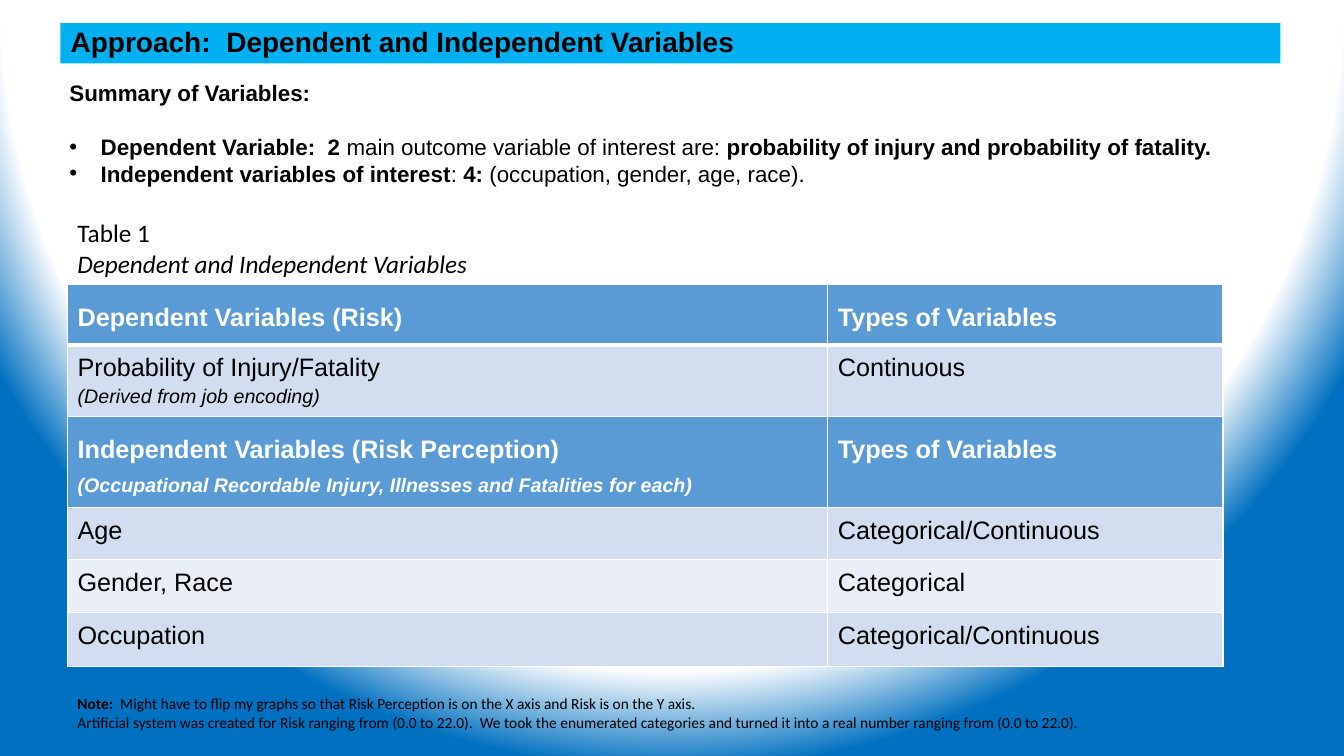
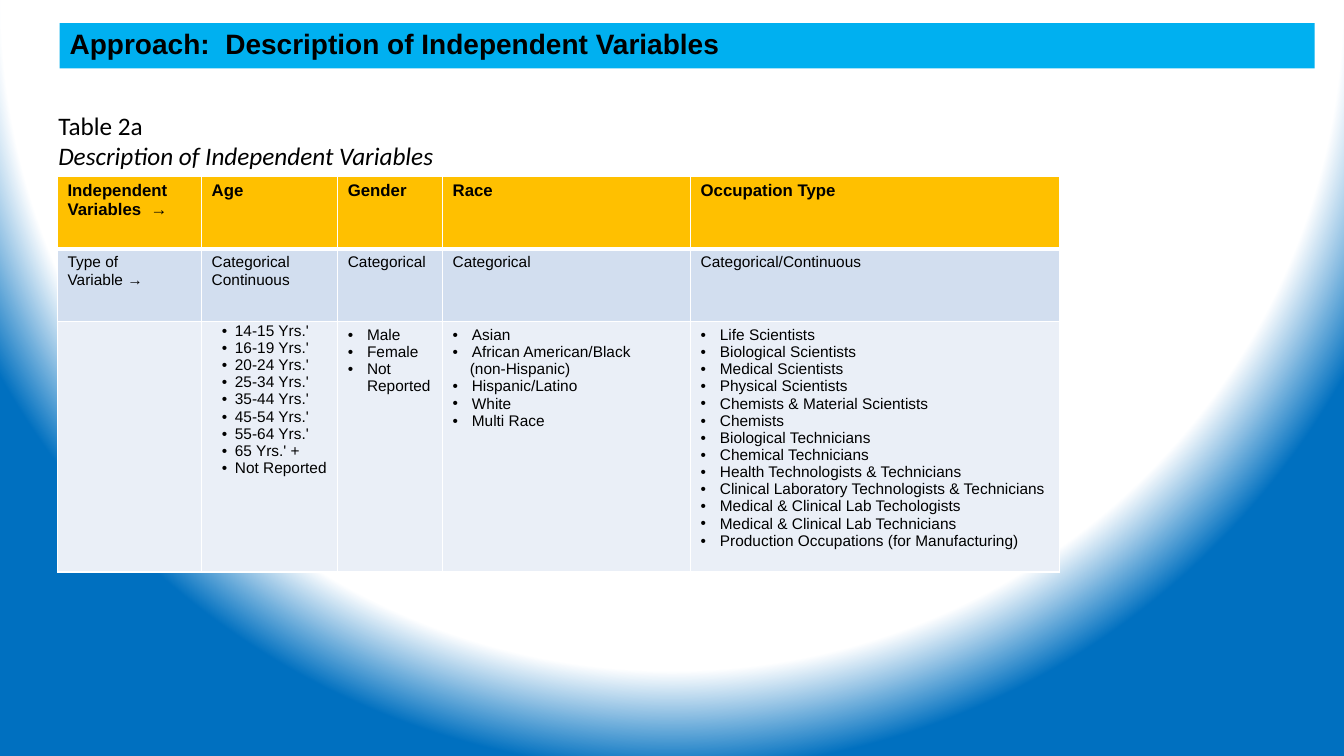
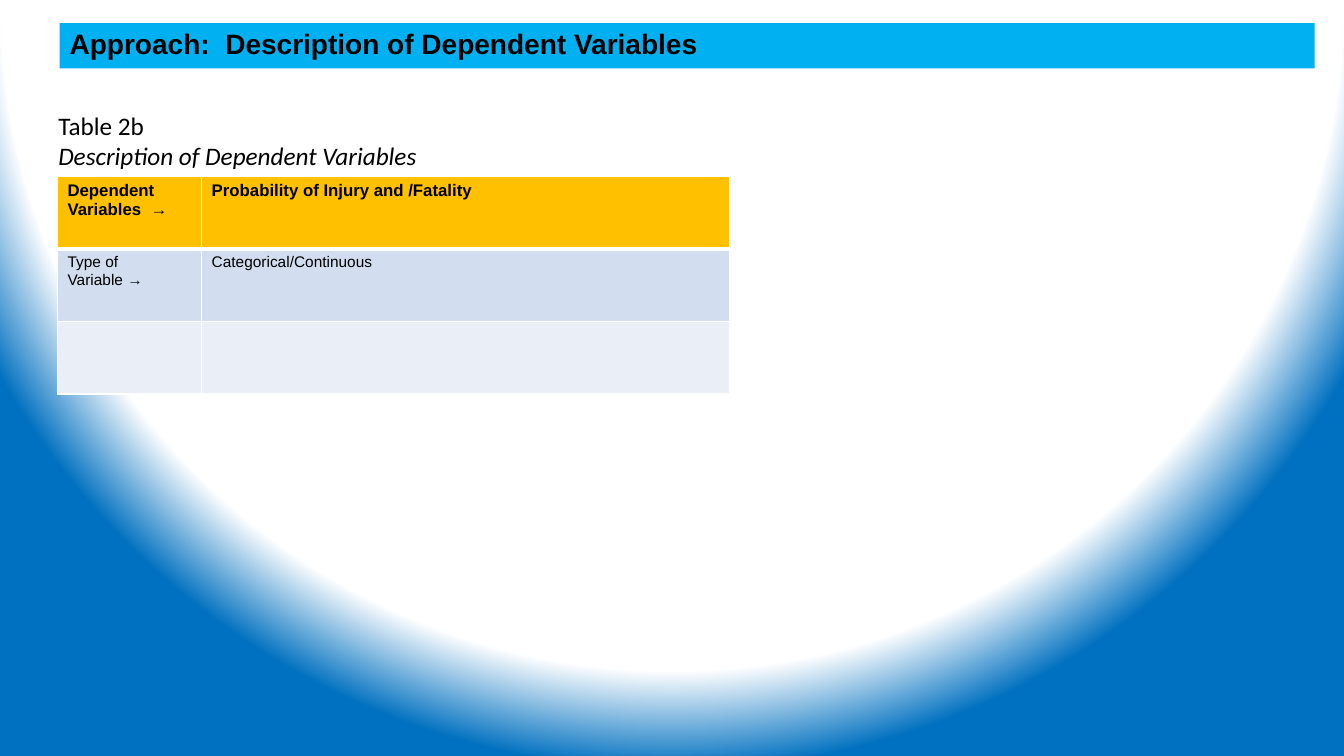
import pptx
import pptx.dml.color
import pptx.enum.text
import pptx.oxml.ns
import pptx.oxml.xmlchemy
import pptx.util
from lxml import etree

Inches = pptx.util.Inches
Pt = pptx.util.Pt
qn = pptx.oxml.ns.qn


class Theme:
    black = "000000"
    white = "FFFFFF"
    edge = "0070C0"
    band = "00B0F0"
    blue = "5B9BD5"
    gold = "FFC000"
    tint = "D2DEEF"
    pale = "EAEFF7"
    sans = "Arial"
    caption = "Calibri"
    title_size = 20
    large = 18
    body = 16
    sub = 14
    head = 12
    small = 11


def rgb(value):
    return pptx.dml.color.RGBColor.from_string(value)


def put(tf, text, size=Theme.large, font=Theme.sans, color=Theme.black, bold=False,
        italic=False, spacing=None, before=None, indent=0, bullet=False):
    p = tf.paragraphs[0]
    if p.runs:
        p = tf.add_paragraph()
    p.alignment = pptx.enum.text.PP_ALIGN.LEFT
    if indent:
        pPr = p._p.get_or_add_pPr()
        pPr.set("marL", str(Inches(indent)))
        pPr.set("indent", str(-Inches(indent) if bullet else 0))
        if bullet:
            etree.SubElement(pPr, qn("a:buFont"), typeface=Theme.sans)
            etree.SubElement(pPr, qn("a:buChar"), char="•")
    if spacing:
        p.line_spacing = spacing
    if before:
        p.space_before = Pt(before)
    for part, strong in [(text, bold)] if isinstance(text, str) else text:
        r = p.add_run()
        r.text = part
        r.font.name = font
        r.font.size = Pt(size)
        r.font.bold = strong
        r.font.italic = italic
        r.font.color.rgb = rgb(color)


blue_head = dict(color=Theme.white, bold=True, spacing=1.5)
plain = dict(spacing=1.15)
gold_head = dict(size=Theme.head, bold=True)
kind = dict(size=Theme.small)
listing = dict(size=Theme.small, indent=0.19, bullet=True)

pages = [
    dict(
        title="Approach:  Dependent and Independent Variables",
        band=(0.6, 0.23, 12.1, 0.4),
        caption=("Table 1", "Dependent and Independent Variables"),
        caption_at=(0.67, 2.11),
        table_at=(0.67, 2.82),
        cols=[7.54, 3.92],
        note=dict(size=Theme.sub, italic=True),
        rows=[
            (0.6, Theme.blue, blue_head, [["Dependent Variables (Risk)"], ["Types of Variables"]]),
            (0.7, Theme.tint, plain, [
                ["Probability of Injury/Fatality", "(Derived from job encoding)"], ["Continuous"]]),
            (0.9, Theme.blue, blue_head, [
                ["Independent Variables (Risk Perception)",
                 "(Occupational Recordable Injury, Illnesses and Fatalities for each)"],
                ["Types of Variables"]]),
            (0.52, Theme.tint, plain, [["Age"], ["Categorical/Continuous"]]),
            (0.52, Theme.pale, plain, [["Gender, Race"], ["Categorical"]]),
            (0.54, Theme.tint, plain, [["Occupation"], ["Categorical/Continuous"]]),
        ],
    ),
    dict(
        title="Approach:  Description of Independent Variables",
        band=(0.59, 0.23, 12.45, 0.45),
        caption=("Table 2a", "Description of Independent Variables"),
        caption_at=(0.48, 1.04),
        table_at=(0.57, 1.75),
        cols=[1.43, 1.35, 1.04, 2.46, 3.66],
        note=dict(indent=0.17, bullet=False),
        tight=(2, 1),
        rows=[
            (0.72, Theme.gold, gold_head, [
                ["Independent Variables  →"], ["Age"], ["Gender"], ["Race"], ["Occupation Type"]]),
            (0.72, Theme.tint, kind, [
                ["Type of", "Variable →"], ["Categorical", "Continuous"], ["Categorical"],
                ["Categorical"], ["Categorical/Continuous"]]),
            (2.31, Theme.pale, listing, [
                [],
                ["14-15 Yrs.'", "16-19 Yrs.'", "20-24 Yrs.'", "25-34 Yrs.'", "35-44 Yrs.'",
                 "45-54 Yrs.'", "55-64 Yrs.'", "65 Yrs.' +", "Not Reported"],
                ["Male", "Female", "Not Reported"],
                ["Asian", "African American/Black", "(non-Hispanic)", "Hispanic/Latino",
                 "White", "Multi Race"],
                ["Life Scientists", "Biological Scientists", "Medical Scientists",
                 "Physical Scientists", "Chemists & Material Scientists", "Chemists",
                 "Biological Technicians", "Chemical Technicians",
                 "Health Technologists & Technicians",
                 "Clinical Laboratory Technologists & Technicians",
                 "Medical & Clinical Lab Techologists", "Medical & Clinical Lab Technicians",
                 "Production Occupations (for Manufacturing)"]]),
        ],
    ),
    dict(
        title="Approach:  Description of Dependent Variables",
        band=(0.59, 0.23, 12.45, 0.45),
        caption=("Table 2b", "Description of Dependent Variables"),
        caption_at=(0.48, 1.04),
        table_at=(0.57, 1.75),
        cols=[1.43, 5.24],
        note={},
        rows=[
            (0.72, Theme.gold, gold_head, [
                ["Dependent Variables  →"], ["Probability of Injury and /Fatality"]]),
            (0.72, Theme.tint, kind, [["Type of", "Variable →"], ["Categorical/Continuous"]]),
            (0.72, Theme.pale, kind, [[], []]),
        ],
    ),
]

prs = pptx.Presentation()
prs.slide_width = Inches(13.33)
prs.slide_height = Inches(7.5)

master = prs.slide_master
fill = master.background.fill
fill.gradient()
for stop, (position, color) in zip(fill.gradient_stops, [(0.87, Theme.white), (1, Theme.edge)]):
    stop.position = position
    stop.color.rgb = rgb(color)
grad = master.element.find(".//" + qn("a:gradFill"))
grad.remove(grad.find(qn("a:lin")))
circle = etree.SubElement(grad, qn("a:path"), path="circle")
etree.SubElement(circle, qn("a:fillToRect"), l="50000", t="-80000", r="50000", b="180000")

for page in pages:
    s = prs.slides.add_slide(prs.slide_layouts[5])
    sp = s.shapes.title
    sp.left, sp.top, sp.width, sp.height = [Inches(v) for v in page["band"]]
    sp.fill.solid()
    sp.fill.fore_color.rgb = rgb(Theme.band)
    tf = sp.text_frame
    tf.auto_size = pptx.enum.text.MSO_AUTO_SIZE.NONE
    tf.vertical_anchor = pptx.enum.text.MSO_ANCHOR.MIDDLE
    put(tf, page["title"], size=Theme.title_size, bold=True, spacing=0.9)

    left, top = page["caption_at"]
    tf = s.shapes.add_textbox(Inches(left), Inches(top), Inches(6.67), Inches(0.71)).text_frame
    tf.word_wrap = True
    number, name = page["caption"]
    put(tf, number, font=Theme.caption)
    put(tf, name, font=Theme.caption, italic=True)

    left, top = page["table_at"]
    cols, rows = page["cols"], page["rows"]
    table = s.shapes.add_table(len(rows), len(cols), Inches(left), Inches(top), Inches(sum(cols)),
                               Inches(sum(row[0] for row in rows))).table
    for column, width in zip(table.columns, cols):
        column.width = Inches(width)
    for i, (height, color, fmt, cells) in enumerate(rows):
        table.rows[i].height = Inches(height)
        for j, lines in enumerate(cells):
            cell = table.cell(i, j)
            tcPr = cell._tc.get_or_add_tcPr()
            for side in ("L", "R", "T", "B"):
                thick = (i, side) in [(0, "B"), (1, "T")]
                ln = etree.SubElement(tcPr, qn("a:ln" + side), w=str(Pt(3 if thick else 1)))
                solid = etree.SubElement(ln, qn("a:solidFill"))
                etree.SubElement(solid, qn("a:srgbClr"), val=Theme.white)
            cell.fill.solid()
            cell.fill.fore_color.rgb = rgb(color)
            cell_fmt = fmt
            if (i, j) == page.get("tight"):
                cell_fmt = {**fmt, "indent": 0.13}
                cell.margin_left = Inches(0.2)
                cell.margin_top = cell.margin_right = Inches(0.01)
                cell.margin_bottom = 0
            for line in lines:
                extra = page["note"] if line.startswith("(") else {}
                put(cell.text_frame, line, **{**cell_fmt, **extra})

s = prs.slides[0]
tf = s.shapes.add_textbox(Inches(0.59), Inches(0.74), Inches(12.08), Inches(1.18)).text_frame
tf.word_wrap = True
put(tf, "Summary of Variables:", size=Theme.body, bold=True)
put(tf, [("Dependent Variable:  2 ", True),
         ("main outcome variable of interest are: ", False),
         ("probability of injury and probability of fatality.", True)],
    size=Theme.body, before=19, indent=0.31, bullet=True)
put(tf, [("Independent variables of interest", True), (": ", False), ("4:", True),
         (" (occupation, gender, age, race).", False)],
    size=Theme.body, indent=0.31, bullet=True)

tf = s.shapes.add_textbox(Inches(0.67), Inches(6.84), Inches(11.08), Inches(0.47)).text_frame
tf.word_wrap = True
put(tf, [("Note:  ", True),
         ("Might have to flip my graphs so that Risk Perception is on the X axis "
          "and Risk is on the Y axis.", False)],
    size=Theme.small, font=Theme.caption)
put(tf, "Artificial system was created for Risk ranging from (0.0 to 22.0).  We took the enumerated "
        "categories and turned it into a real number ranging from (0.0 to 22.0).",
    size=Theme.small, font=Theme.caption)

prs.save("out.pptx")
